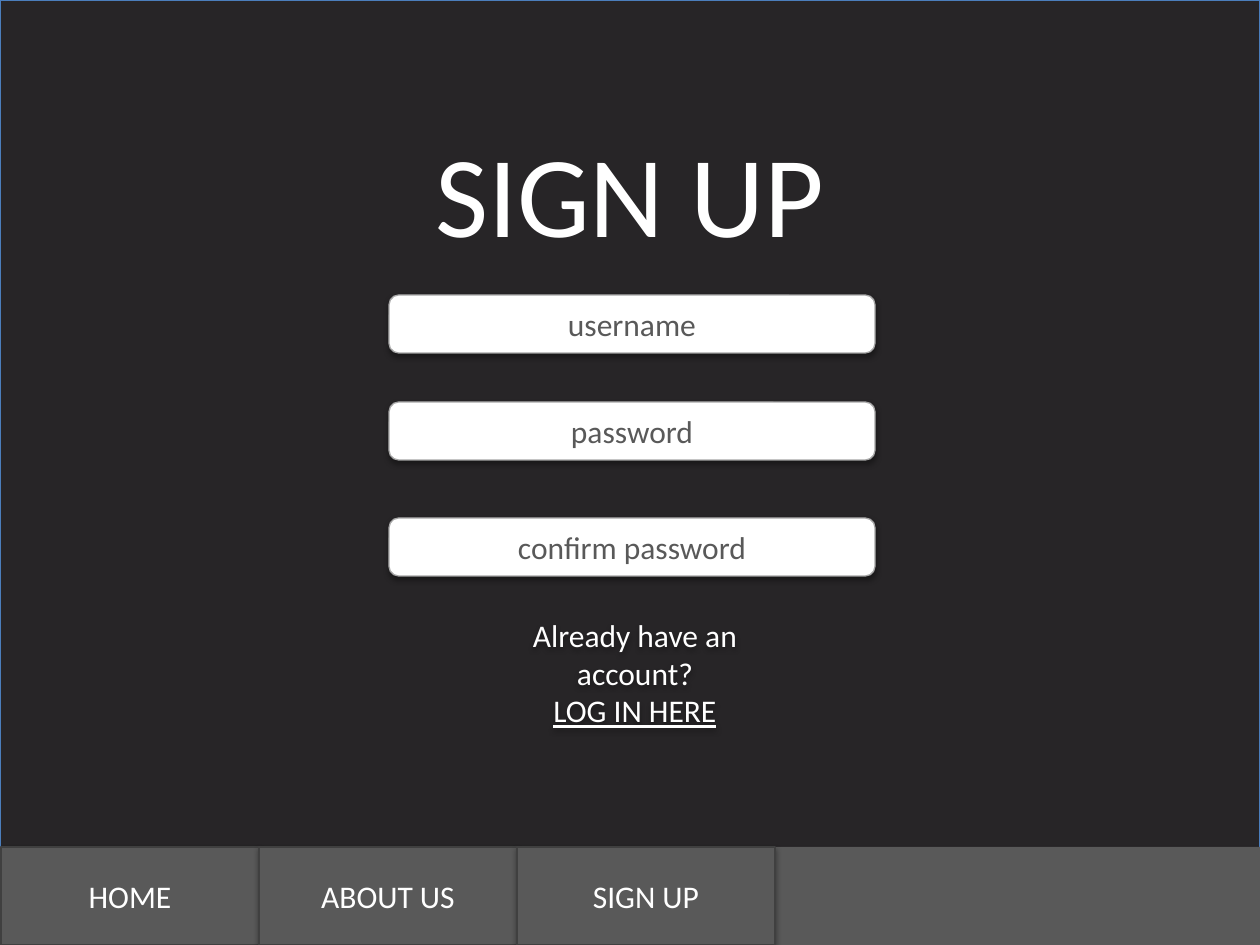
import pptx
import pptx.dml.color
import pptx.enum.shapes
import pptx.enum.text
import pptx.oxml
import pptx.oxml.ns
import pptx.util

RGBColor = pptx.dml.color.RGBColor
SHAPE = pptx.enum.shapes.MSO_SHAPE
Pt = pptx.util.Pt

PX = 914400 / 126  # EMU per px
PAGE_WIDTH, PAGE_HEIGHT = 1260, 945

WHITE = RGBColor(0xFF, 0xFF, 0xFF)
CHARCOAL = RGBColor(0x27, 0x25, 0x27)
BLUE = RGBColor(0x4B, 0x7E, 0xBC)
GREY = RGBColor(0x59, 0x59, 0x59)
DARK_GREY = RGBColor(0x40, 0x40, 0x40)
LIGHT_GREY = RGBColor(0xA6, 0xA6, 0xA6)

SHADOW = (
    f'<a:outerShdw {pptx.oxml.ns.nsdecls("a")} blurRad="40000" dist="23000" '
    'dir="5400000" rotWithShape="0"><a:srgbClr val="000000">'
    '<a:alpha val="35000"/></a:srgbClr></a:outerShdw>'
)


def emu(*lengths):
    return [round(length * PX) for length in lengths]


def add_shadow(shape):
    shape.shadow.inherit = False
    effects = shape._element.spPr.find(pptx.oxml.ns.qn("a:effectLst"))
    effects.append(pptx.oxml.parse_xml(SHADOW))


def write_text(shape, text, size=18, color=WHITE, underlined=()):
    """Write one centred paragraph per line of text."""
    frame = shape.text_frame
    frame.word_wrap = True
    frame.vertical_anchor = pptx.enum.text.MSO_ANCHOR.MIDDLE
    for index, line in enumerate(text.split("\n")):
        para = frame.add_paragraph() if index else frame.paragraphs[0]
        para.alignment = pptx.enum.text.PP_ALIGN.CENTER
        span = para.add_run()
        span.text = line
        span.font.name = "Calibri"
        span.font.size = Pt(size)
        span.font.color.rgb = color
        if index in underlined:
            span.font.underline = True


def add_panel(page, box, fill, line=None, kind=SHAPE.RECTANGLE):
    panel = page.shapes.add_shape(kind, *emu(*box))
    panel.fill.solid()
    panel.fill.fore_color.rgb = fill
    if line is None:
        panel.line.fill.background()
    else:
        panel.line.color.rgb = line
        panel.line.width = Pt(0.75)
    add_shadow(panel)
    return panel


def add_title(page, box):
    title = page.shapes.add_textbox(*emu(*box))
    write_text(title, "SIGN UP", size=66)


def add_navigation(page, box):
    left, top, width, height = box
    add_panel(page, box, GREY)
    tab_width = 258
    for index, label in enumerate(["HOME", "ABOUT US", "SIGN UP"]):
        tab_box = (left + index * tab_width, top, tab_width, height)
        tab = add_panel(page, tab_box, GREY, DARK_GREY)
        write_text(tab, label)


def add_form(page, box):
    left, top, width, height = box
    field_height = 58
    fields = {"username": 0, "password": 107, "confirm password": height - field_height}
    for label, offset in fields.items():
        field_box = (left, top + offset, width, field_height)
        field = add_panel(page, field_box, WHITE, LIGHT_GREY, SHAPE.ROUNDED_RECTANGLE)
        write_text(field, label, color=GREY)


def add_login_prompt(page, box):
    prompt = page.shapes.add_textbox(*emu(*box))
    add_shadow(prompt)
    write_text(prompt, "Already have an account?\nLOG IN HERE", underlined=(1,))


def main():
    deck = pptx.Presentation()
    deck.slide_width, deck.slide_height = emu(PAGE_WIDTH, PAGE_HEIGHT)
    page = deck.slides.add_slide(deck.slide_layouts[6])

    # Backdrop
    add_panel(page, (0, 0, PAGE_WIDTH, PAGE_HEIGHT), CHARCOAL, BLUE)
    # Heading
    add_title(page, (63, 112, 1134, 158))
    # Bottom bar
    add_navigation(page, (1, 847, 1259, 98))
    # Sign-up fields and the way back to log in
    add_form(page, (389, 295, 486, 281))
    add_login_prompt(page, (484, 595, 302, 155))

    deck.save("out.pptx")


if __name__ == "__main__":
    main()
